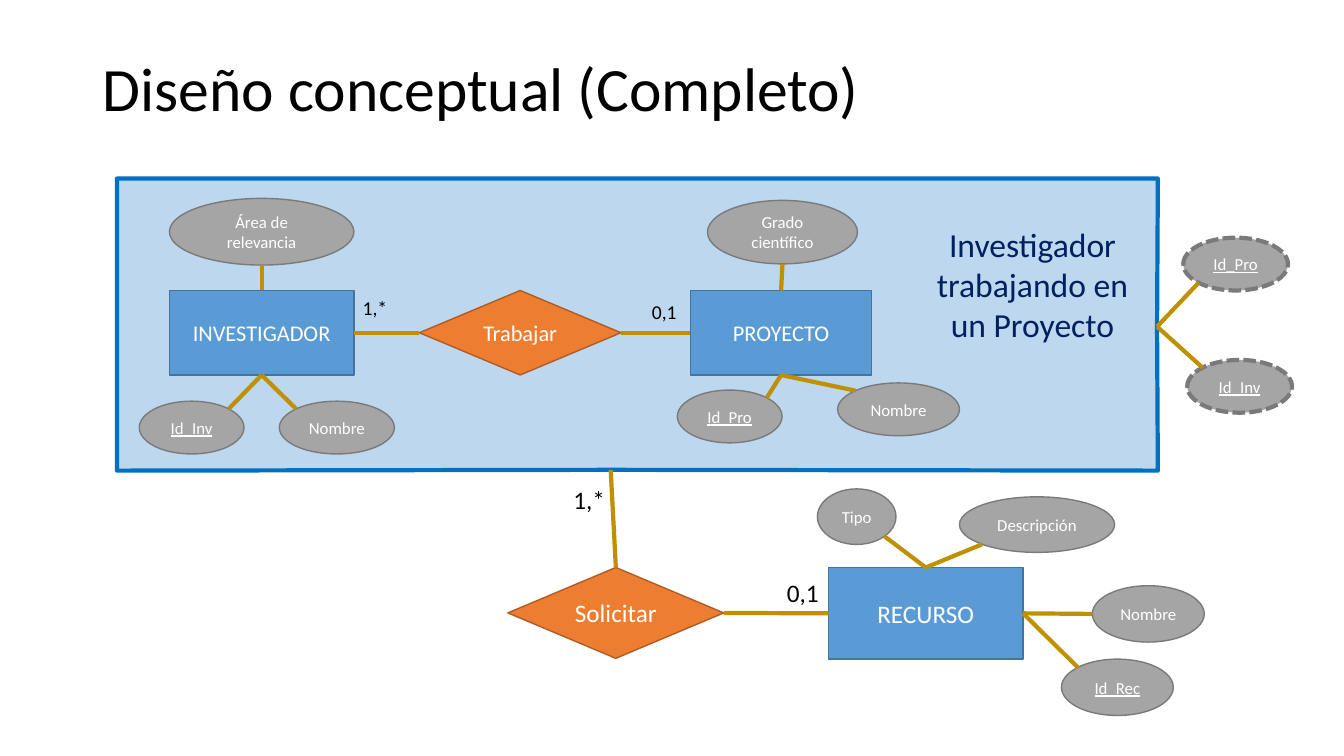
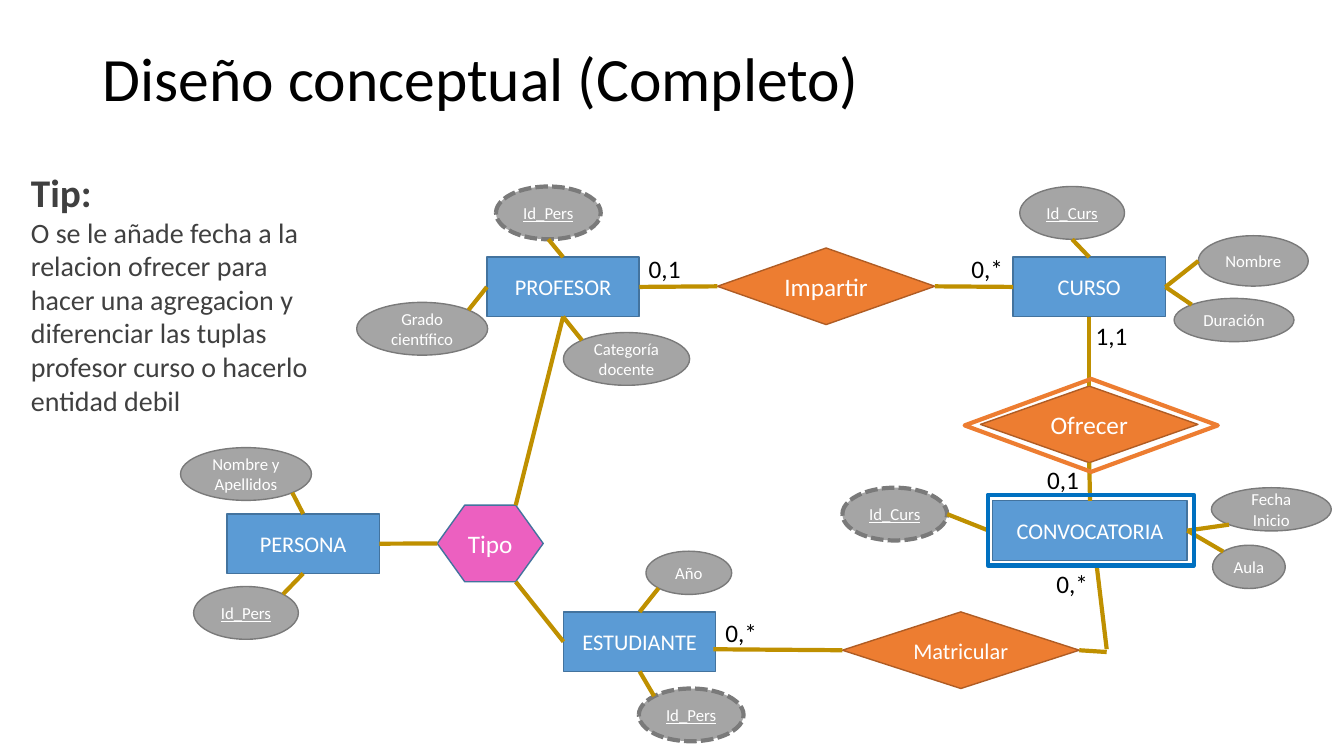
from pptx import Presentation
from pptx.dml.color import RGBColor
from pptx.enum.dml import MSO_LINE
from pptx.enum.shapes import MSO_CONNECTOR, MSO_SHAPE as SHAPE
from pptx.enum.text import MSO_ANCHOR, MSO_AUTO_SIZE, PP_ALIGN
from pptx.oxml.ns import qn
from pptx.util import Cm, Pt
from lxml import etree

# Shared look
FONT = "Calibri"
WHITE, BLACK, NAVY, GRAY = "FFFFFF", "000000", "002060", "404040"
LINK, FRAME, FRAME_FILL, ORANGE = "BF9000", "0070C0", "BDD7EE", "ED7D31"
THIN, THICK = 1, 3
STYLES = {  # kind: preset, fill, line, connection sites in order
    "entity": (SHAPE.RECTANGLE, "5B9BD5", "43739E", ("n", "w", "s", "e")),
    "relation": (SHAPE.DIAMOND, ORANGE, "AF5C24", ("n", "w", "s", "e")),
    "subtype": (SHAPE.HEXAGON, "EC60C0", "43739E", ("e", "se", "sw", "w", "nw", "ne")),
    "attribute": (SHAPE.OVAL, "A5A5A5", "7A7A7A",
                  ("n", "nw", "w", "sw", "s", "se", "e", "ne")),
}
HEX_ADJ = 0.359
KEY = (2.64, 1.33)       # size of a key attribute
BOX = (3.84, 1.5)        # size of a plain entity
RHOMB = (5.48, 1.93)     # size of a plain relation
TITLE = "Diseño conceptual (Completo)"

# Content; all lengths in cm
# nodes: kind, name, text size, left, top, (width, height)
# attributes: text, inherited, left, top, size, own side, owner or point, owner side
# links: two ends, each (node, side) or a point
# labels: text, text size, left, top
AGG_RIGHT, AGG_BOTTOM = (29.16, 8.23), (15.39, 11.84)
RESEARCH = {
    "title": (0.48, 3.68),
    "aggregate": [(2.95, 4.5), (29.18, 4.5), AGG_RIGHT, (29.18, 11.86), AGG_BOTTOM,
                  (2.95, 11.86)],
    "nodes": [
        ("entity", "PROYECTO", 16, 17.4, 7.32, (4.57, 2.13)),
        ("entity", "INVESTIGADOR", 16, 4.27, 7.32, (4.65, 2.13)),
        ("relation", "Trabajar", 16, 10.57, 7.32, (5.08, 2.13)),
        ("entity", "RECURSO", 18, 20.88, 14.3, (4.9, 2.31)),
        ("relation", "Solicitar", 18, 12.8, 14.3, (5.44, 2.29)),
    ],
    "attributes": [
        ("Id_Inv", False, 3.51, 10.11, KEY, "ne", "INVESTIGADOR", "s"),
        ("Nombre", False, 7.04, 10.11, (2.9, 1.33), "nw", "INVESTIGADOR", "s"),
        ("Área de relevancia", False, 4.27, 5, (4.65, 1.68), "s", "INVESTIGADOR", "n"),
        ("Id_Pro", False, 17.07, 9.83, KEY, "ne", "PROYECTO", "s"),
        ("Nombre", False, 21.11, 9.65, (3.07, 1.33), "nw", "PROYECTO", "s"),
        ("Grado científico", False, 17.83, 5.05, (3.78, 1.6), "s", "PROYECTO", "n"),
        ("Id_Rec", False, 26.75, 16.61, (2.82, 1.42), "nw", "RECURSO", "e"),
        ("Nombre", False, 27.53, 14.76, (2.82, 1.42), "w", "RECURSO", "e"),
        ("Tipo", False, 20.6, 12.32, (1.98, 1.4), "se", "RECURSO", "n"),
        ("Descripción", False, 24.18, 12.52, (3.91, 1.4), "sw", "RECURSO", "n"),
        ("Id_Pro", True, 29.82, 5.99, KEY, "sw", AGG_RIGHT, None),
        ("Id_Inv", True, 29.92, 9.07, KEY, "nw", AGG_RIGHT, None),
    ],
    "links": [
        (("INVESTIGADOR", "e"), ("Trabajar", "w")),
        (("Trabajar", "e"), ("PROYECTO", "w")),
        (("Solicitar", "e"), ("RECURSO", "w")),
        (AGG_BOTTOM, ("Solicitar", "n")),
    ],
    "labels": [("1,*", 14, 8.89, 7.32), ("0,1", 14, 16.18, 7.44),
               ("0,1", 18, 19.58, 14.43), ("1,*", 18, 14.2, 12.07)],
    "outlines": [],
    "note": ((23.34, 5.51, 5.36, 3.33), NAVY, PP_ALIGN.CENTER,
             [("Investigador trabajando en un Proyecto", 24, False)]),
}
COURSES = {
    "title": (0.64, 2.84),
    "aggregate": [],
    "nodes": [
        ("entity", "PROFESOR", 16, 12.27, 6.48, BOX),
        ("relation", "Impartir", 18, 18.08, 6.25, RHOMB),
        ("entity", "CURSO", 16, 25.53, 6.48, BOX),
        ("relation", "Ofrecer", 18, 24.71, 9.73, RHOMB),
        ("entity", "CONVOCATORIA", 16, 25.02, 12.62, (4.9, 1.5)),
        ("entity", "PERSONA", 16, 5.72, 12.95, BOX),
        ("entity", "ESTUDIANTE", 16, 14.2, 15.42, BOX),
        ("subtype", "Tipo", 18, 11.02, 12.73, (2.67, 1.93)),
        ("relation", "Matricular", 16, 21.23, 15.42, (5.97, 1.93)),
    ],
    "attributes": [
        ("Categoría docente", False, 14.2, 8.38, (3.18, 1.33), "nw", "PROFESOR", "s"),
        ("Grado científico", False, 8.99, 7.62, (3.3, 1.33), "ne", "PROFESOR", "w"),
        ("Id_Pers", True, 12.5, 4.7, KEY, "s", "PROFESOR", "n"),
        ("Duración", False, 29.59, 7.52, (3.02, 1.09), "nw", "CURSO", "e"),
        ("Nombre", False, 30.2, 5.94, (2.77, 1.27), "w", "CURSO", "e"),
        ("Id_Curs", False, 25.7, 4.7, KEY, "s", "CURSO", "n"),
        ("Fecha Inicio", False, 30.53, 12.29, (3.02, 1.09), "sw", "CONVOCATORIA", "e"),
        ("Aula", False, 30.56, 13.74, (1.83, 1.09), "nw", "CONVOCATORIA", "e"),
        ("Id_Curs", True, 21.23, 12.29, KEY, "e", (24.89, 13.36), None),
        ("Id_Pers", False, 4.88, 14.78, KEY, "ne", "PERSONA", "s"),
        ("Nombre y Apellidos", False, 4.55, 11.28, (3.3, 1.33), "se", "PERSONA", "n"),
        ("Año", False, 16.28, 13.89, (2.16, 1.09), "sw", "ESTUDIANTE", "n"),
        ("Id_Pers", True, 16.1, 17.35, KEY, "nw", "ESTUDIANTE", "s"),
    ],
    "links": [
        (("PROFESOR", "e"), ("Impartir", "w")),
        (("Impartir", "e"), ("CURSO", "w")),
        (("CURSO", "s"), ("Ofrecer", "n")),
        (("Ofrecer", "s"), ("CONVOCATORIA", "n")),
        (("Tipo", "ne"), ("PROFESOR", "s")),
        (("Tipo", "se"), ("ESTUDIANTE", "w")),
        (("PERSONA", "e"), ("Tipo", "w")),
        ((17.98, 16.36), ("Matricular", "w")),
        (("Matricular", "e"), (27.89, 16.43)),
        ((27.89, 16.36), (27.64, 14.27)),
    ],
    "labels": [("0,1", 18, 16.1, 6.25), ("0,*", 18, 24.23, 6.25),
               ("0,1", 18, 26.14, 11.58), ("1,1", 18, 27.36, 7.95),
               ("0,*", 18, 26.37, 14.2), ("0,*", 18, 18.03, 15.42)],
    "outlines": [(SHAPE.RECTANGLE, FRAME, 24.89, 12.47, 5.2, 1.78),
                 (SHAPE.DIAMOND, ORANGE, 24.31, 9.55, 6.38, 2.34)],
    "note": ((0.53, 4.11, 7.98, 7.44), GRAY, PP_ALIGN.LEFT,
             [("Tip:", 28, True),
              ("O se le añade fecha a la relacion ofrecer para hacer una agregacion y "
               "diferenciar las tuplas profesor curso o hacerlo entidad debil", 20, False)]),
}


def rgb(color):
    return RGBColor.from_string(color)


def lengths(values):
    return [Cm(value) for value in values]


def write(frame, lines, color, align=PP_ALIGN.LEFT, underline=None):
    for i, (text, size, bold) in enumerate(lines):
        para = frame.paragraphs[0] if i == 0 else frame.add_paragraph()
        para.text, para.alignment = text, align
        font = para.font
        font.name, font.size, font.bold = FONT, Pt(size), bold
        font.underline, font.color.rgb = underline, rgb(color)


def paint(shape, fill, line, width):
    shape.shadow.inherit = False
    if fill:
        shape.fill.solid()
        shape.fill.fore_color.rgb = rgb(fill)
    else:
        shape.fill.background()
    shape.line.color.rgb, shape.line.width = rgb(line), Pt(width)


def add_text(slide, box, lines, color, align=PP_ALIGN.LEFT, wrap=True):
    frame = slide.shapes.add_textbox(*lengths(box)).text_frame
    frame.word_wrap, frame.auto_size = wrap, MSO_AUTO_SIZE.SHAPE_TO_FIT_TEXT
    write(frame, lines, color, align)
    return frame


def add_node(slide, kind, text, size, box, inherited=False):
    preset, fill, line, _ = STYLES[kind]
    node = slide.shapes.add_shape(preset, *lengths(box))
    paint(node, fill, line, THICK if inherited else THIN)
    if inherited:
        node.line.dash_style = MSO_LINE.SQUARE_DOT
    if kind == "subtype":
        node.adjustments[0] = HEX_ADJ
    is_key = kind == "attribute" and text.startswith("Id_")
    write(node.text_frame, [(text, size, False)], WHITE, PP_ALIGN.CENTER, is_key or None)
    return node, kind


def site(node, kind, side):
    """Point on the outline of a node that faces a compass side."""
    dx = ("e" in side) - ("w" in side)
    dy = ("s" in side) - ("n" in side)
    reach_x, reach_y = node.width / 2, node.height / 2
    if dx and dy:
        if kind == "subtype":
            reach_x -= HEX_ADJ * min(node.width, node.height)
        else:
            reach_x, reach_y = reach_x * 0.5 ** 0.5, reach_y * 0.5 ** 0.5
    return (int(node.left + node.width / 2 + dx * reach_x),
            int(node.top + node.height / 2 + dy * reach_y))


def add_link(slide, *ends):
    """Each end is ((shape, kind), side) or a point in cm."""
    glued = [isinstance(end[0], tuple) for end in ends]
    points = [site(*end[0], end[1]) if on_node else lengths(end)
              for end, on_node in zip(ends, glued)]
    link = slide.shapes.add_connector(MSO_CONNECTOR.STRAIGHT, *points[0], *points[1])
    link.line.color.rgb, link.line.width = rgb(LINK), Pt(THICK)
    props = link._element
    etree.SubElement(props.spPr, qn("a:effectLst"))
    # Glue the ends that lie on a node
    holder = props.nvCxnSpPr.cNvCxnSpPr
    for end, on_node, attach in zip(ends, glued, (holder.get_or_add_stCxn,
                                                  holder.get_or_add_endCxn)):
        if on_node:
            (node, kind), side = end
            joint = attach()
            joint.id, joint.idx = node.shape_id, STYLES[kind][3].index(side)


def build_slide(deck, content):
    slide = deck.slides.add_slide(deck.slide_layouts[6])

    # Aggregation frame
    if content["aggregate"]:
        corners = [lengths(corner) for corner in content["aggregate"]]
        builder = slide.shapes.build_freeform(*corners[0])
        builder.add_line_segments(corners[1:], close=True)
        paint(builder.convert_to_shape(), FRAME_FILL, FRAME, THICK)

    # Title
    top, height = content["title"]
    title = add_text(slide, (2.34, top, 29.21, height), [(TITLE, 44, False)], BLACK)
    title.auto_size, title.vertical_anchor = MSO_AUTO_SIZE.NONE, MSO_ANCHOR.MIDDLE
    title.paragraphs[0].line_spacing = 0.9

    # Entities and relations, then attributes with their links
    nodes = {name: add_node(slide, kind, name, size, (left, top, *extent))
             for kind, name, size, left, top, extent in content["nodes"]}
    for text, inherited, left, top, extent, side, owner, owner_side in content["attributes"]:
        attribute = add_node(slide, "attribute", text, 12, (left, top, *extent), inherited)
        target = (nodes[owner], owner_side) if owner in nodes else owner
        add_link(slide, (attribute, side), target)
    for ends in content["links"]:
        add_link(slide, *[(nodes[end[0]], end[1]) if end[0] in nodes else end
                          for end in ends])

    # Weak entity and relation outlines
    for preset, color, *box in content["outlines"]:
        paint(slide.shapes.add_shape(preset, *lengths(box)), None, color, THICK)

    # Cardinalities and note
    for text, size, left, top in content["labels"]:
        extent = (1.22, 0.86) if size == 14 else (1.32, 1.02)
        add_text(slide, (left, top, *extent), [(text, size, False)], BLACK, wrap=size == 14)
    box, color, align, lines = content["note"]
    add_text(slide, box, lines, color, align)


def main():
    deck = Presentation()
    deck.slide_width, deck.slide_height = Cm(33.87), Cm(19.05)
    for content in (RESEARCH, COURSES):
        build_slide(deck, content)
    deck.save("out.pptx")


if __name__ == "__main__":
    main()
